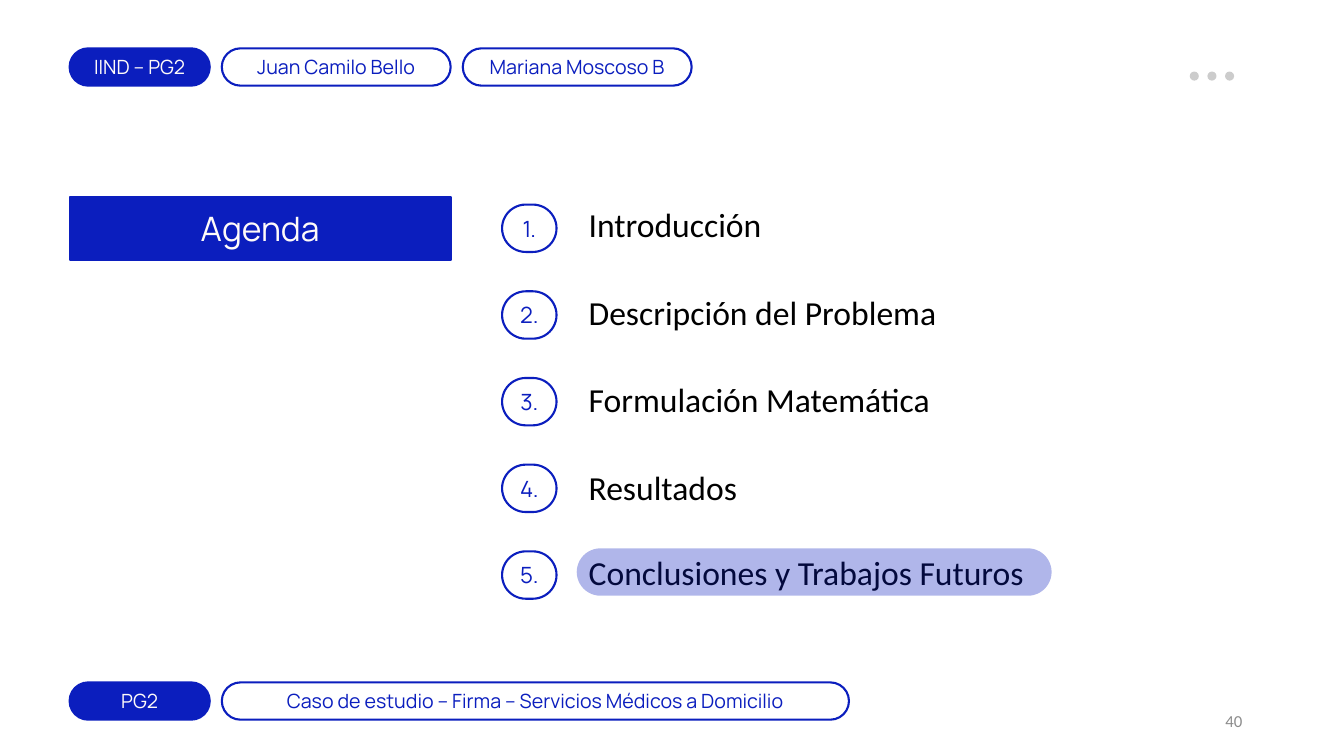
from dataclasses import dataclass

from lxml.etree import SubElement
from pptx import Presentation
from pptx.dml.color import RGBColor as RGB
from pptx.enum.shapes import MSO_SHAPE as Kind
from pptx.enum.text import MSO_ANCHOR as Anchor, MSO_AUTO_SIZE as Fit, PP_ALIGN as Align
from pptx.oxml.ns import qn
from pptx.util import Inches, Pt


# Theme
@dataclass(frozen=True)
class Theme:
    blue: RGB = RGB.from_string("0B1EBE")
    cream: RGB = RGB.from_string("FFFBF9")
    black: RGB = RGB.from_string("000000")
    dot: RGB = RGB.from_string("CCCCCC")
    gray: RGB = RGB.from_string("8C8C8C")
    head: str = "Manrope"
    body: str = "Calibri"
    large: int = 24
    badge: int = 16
    small: int = 14
    page: int = 12


@dataclass(frozen=True)
class Box:
    left: float
    top: float
    width: float
    height: float

    def size(self) -> list:
        return [Inches(n) for n in (self.left, self.top, self.width, self.height)]


@dataclass(frozen=True)
class Pill:
    text: str
    box: Box
    solid: bool = False
    size: int = Theme.small


@dataclass(frozen=True)
class Topic:
    text: str
    top: float


TOP, FOOT, TALL = 0.48, 6.77, 0.37
TITLE = Pill("Agenda", Box(0.69, 1.95, 3.78, 0.63), True, Theme.large)
TAGS = [
    Pill("IIND – PG2", Box(0.69, TOP, 1.39, TALL), True),
    Pill("Juan Camilo Bello", Box(2.2, TOP, 2.27, TALL)),
    Pill("Mariana Moscoso B", Box(4.59, TOP, 2.27, TALL)),
    Pill("PG2", Box(0.69, FOOT, 1.39, TALL), True),
    Pill("Caso de estudio – Firma – Servicios Médicos a Domicilio",
         Box(2.2, FOOT, 6.22, TALL)),
]
TOPICS = [
    Topic("Introducción", 1.97),
    Topic("Descripción del Problema", 2.84),
    Topic("Formulación Matemática", 3.7),
    Topic("Resultados", 4.58),
    Topic("Conclusiones y Trabajos Futuros", 5.42),
]


def put(item, values: dict) -> None:
    for name, value in values.items():
        setattr(item, name, value)


def write(shape, text: str, size: int, color: RGB, font: str, align=Align.LEFT,
          anchor=Anchor.TOP, space: float = 1.0, inset: float = 0.1) -> None:
    frame = shape.text_frame
    pad = Inches(inset)
    put(frame, dict(text=text, word_wrap=True, auto_size=Fit.NONE,
                    vertical_anchor=anchor, margin_left=pad, margin_right=pad,
                    margin_top=pad, margin_bottom=pad))
    para = frame.paragraphs[0]
    put(para, dict(alignment=align, line_spacing=space))
    font_of = para.runs[0].font
    put(font_of, dict(size=Pt(size), name=font))
    font_of.color.rgb = color


def dress(shape, pill: Pill) -> None:
    if pill.solid:
        shape.fill.solid()
        shape.fill.fore_color.rgb = Theme.blue
    else:
        shape.fill.background()
    shape.line.color.rgb = Theme.blue
    shape.line.width = Pt(1.5)
    write(shape, pill.text, pill.size, Theme.cream if pill.solid else Theme.blue,
          Theme.head, Align.CENTER, Anchor.MIDDLE)


def add(slide, kind: Kind, box: Box):
    shape = slide.shapes.add_shape(kind, *box.size())
    shape.shadow.inherit = False
    if kind == Kind.ROUNDED_RECTANGLE:
        shape.adjustments[0] = 0.5
    return shape


def paint(shape, color: RGB) -> None:
    shape.fill.solid()
    shape.fill.fore_color.rgb = color
    shape.line.fill.background()


def add_title(slide) -> None:
    title = slide.shapes.title
    put(title, dict(zip(("left", "top", "width", "height"), TITLE.box.size())))
    geom = SubElement(title.element.spPr, qn("a:prstGeom"), prst="roundRect")
    guides = SubElement(geom, qn("a:avLst"))
    SubElement(guides, qn("a:gd"), name="adj", fmla="val 50000")
    dress(title, TITLE)


def add_pill(slide, pill: Pill) -> None:
    dress(add(slide, Kind.ROUNDED_RECTANGLE, pill.box), pill)


def add_text(slide, box: Box, text: str, size: int, color: RGB, **style) -> None:
    write(slide.shapes.add_textbox(*box.size()), text, size, color,
          Theme.body, **style)


def main() -> None:
    deck = Presentation()
    put(deck, dict(slide_width=Inches(13.33), slide_height=Inches(7.5)))
    slide = deck.slides.add_slide(deck.slide_layouts[5])

    # Title, header and footer
    add_title(slide)
    for tag in TAGS:
        add_pill(slide, tag)
    for i in range(3):
        paint(add(slide, Kind.OVAL, Box(11.8 + 0.175 * i, 0.71, 0.09, 0.09)), Theme.dot)

    # Agenda topics
    for i, topic in enumerate(TOPICS):
        add_text(slide, Box(5.74, topic.top, 4.9, 0.47), topic.text,
                 Theme.large, Theme.black, space=0.9)
        add_pill(slide, Pill(f"{i + 1}.", Box(4.98, 2.03 + 0.86 * i, 0.54, 0.47),
                             size=Theme.badge))

    # Veil over the current topic
    veil = add(slide, Kind.ROUNDED_RECTANGLE, Box(5.72, 5.44, 4.71, 0.47))
    paint(veil, Theme.blue)
    tint = veil.element.spPr.find(qn("a:solidFill"))[0]
    SubElement(tint, qn("a:alpha"), val="32000")

    # Page number
    add_text(slide, Box(9.42, 6.95, 3, 0.4), "40", Theme.page, Theme.gray,
             align=Align.RIGHT, anchor=Anchor.MIDDLE)
    deck.save("out.pptx")


if __name__ == "__main__":
    main()
